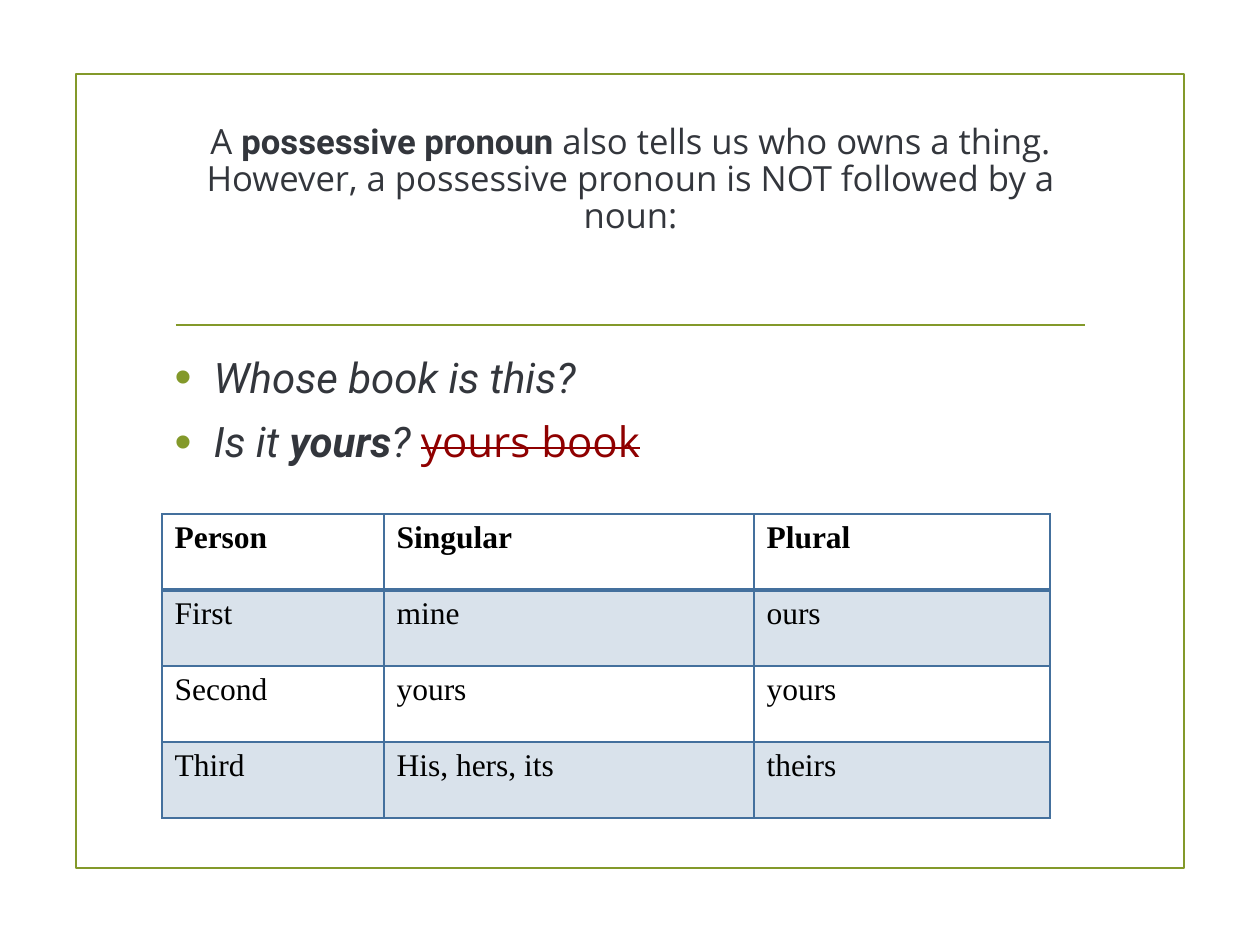
"""Build a slide that explains possessive pronouns."""
from lxml import etree
from pptx import Presentation
from pptx import util as u
from pptx.dml import color
from pptx.enum import shapes, text
from pptx.oxml import ns

PX = 914400 / 126
GREEN, INK, RED, BLUE, BLACK = "83992A", "33363C", "8F0000", "44709D", "000000"
SANS, ROBOTO, SERIF = "Open Sans", "Roboto", "Times New Roman"
ROWS = [
    ["Person", "Singular", "Plural"],
    ["First", "mine", "ours"],
    ["Second", "yours", "yours"],
    ["Third", "His, hers, its", "theirs"],
]


def px(length):
    """Turn pixels into EMU."""
    return u.Emu(round(length * PX))


def rgb(value):
    """Turn a hex string into a colour."""
    return color.RGBColor.from_string(value)


def add_xml(parent, tag, **attributes):
    """Append a DrawingML element and return it."""
    return etree.SubElement(parent, ns.qn(f"a:{tag}"), attributes)


def place(item, box):
    """Move and size an item to a pixel box."""
    item.left, item.top, item.width, item.height = map(px, box)


def add_text(para, words, size, font, ink=INK, bold=False, italic=False, strike=False):
    """Add one formatted run to a paragraph."""
    span = para.add_run()
    span.text = words
    span.font.size, span.font.name = u.Pt(size), font
    span.font.bold, span.font.italic = bold, italic
    span.font.color.rgb = rgb(ink)
    if strike:
        span._r.get_or_add_rPr().set("strike", "sngStrike")


def draw_frame(page, box):
    """Draw the green border and the rule below the title."""
    left, top, width, height = box
    border = page.shapes.add_shape(shapes.MSO_SHAPE.RECTANGLE, *map(px, box))
    border.shadow.inherit = False
    border.fill.background()
    rule = page.shapes.add_connector(
        shapes.MSO_CONNECTOR.STRAIGHT,
        px(left + 100), px(top + 251), px(left + width - 99), px(top + 251))
    add_xml(rule._element.spPr, "effectLst")
    for item in (border, rule):
        item.line.color.rgb = rgb(GREEN)
        item.line.width = u.Pt(1.25)


def fill_title(title, box):
    """Write the definition in the title placeholder."""
    place(title, box)
    frame = title.text_frame
    frame.word_wrap, frame.auto_size = True, text.MSO_AUTO_SIZE.NONE
    frame.vertical_anchor = text.MSO_ANCHOR.MIDDLE
    para = frame.paragraphs[0]
    para.alignment, para.line_spacing = text.PP_ALIGN.CENTER, 0.9
    add_text(para, "A ", 19.8, SANS)
    add_text(para, "possessive pronoun", 19.8, ROBOTO, bold=True)
    add_text(para, " also tells us who owns a thing. However, a possessive pronoun "
             "is NOT followed by a noun:", 19.8, SANS)
    para.add_line_break()
    ending = add_xml(para._p, "endParaRPr", sz="3400")
    add_xml(ending, "latin", typeface=SANS)


def format_bullet(para, before):
    """Give a paragraph a green bullet, a hanging indent and spacing."""
    para.line_spacing = 0.9
    para.space_before, para.space_after = u.Pt(before), u.Pt(6)
    properties = para._p.get_or_add_pPr()
    properties.set("marL", str(px(39)))
    properties.set("indent", str(-px(39)))
    add_xml(add_xml(properties, "buClr"), "srgbClr", val=GREEN)
    add_xml(properties, "buSzPct", val="115000")
    add_xml(properties, "buFont", typeface="Arial")
    add_xml(properties, "buChar", char="•")


def fill_body(body, box):
    """Write the two example sentences in the body placeholder."""
    place(body, box)
    frame = body.text_frame
    frame.word_wrap, frame.auto_size = True, text.MSO_AUTO_SIZE.NONE
    frame.margin_top = px(14)
    question, answer = frame.paragraphs[0], frame.add_paragraph()
    format_bullet(question, 0)
    format_bullet(answer, 4.8)
    add_text(question, "Whose book is this?", 24, ROBOTO, italic=True)
    add_text(answer, "Is it ", 24, ROBOTO, italic=True)
    add_text(answer, "yours", 24, ROBOTO, bold=True, italic=True)
    add_text(answer, "? ", 24, ROBOTO, italic=True)
    add_text(answer, "yours book", 24, SANS, ink=RED, strike=True)


def format_cell(cell, row):
    """Set the borders and the fill of one cell by its row."""
    properties = cell._tc.get_or_add_tcPr()
    widths = {"lnL": 1, "lnR": 1, "lnT": 2 if row == 1 else 1, "lnB": 2 if row == 0 else 1}
    for side, width in widths.items():
        line = add_xml(properties, side, w=str(u.Pt(width)))
        add_xml(add_xml(line, "solidFill"), "srgbClr", val=BLUE)
    if row % 2:
        shade = add_xml(add_xml(properties, "solidFill"), "srgbClr", val=BLUE)
        add_xml(shade, "alpha", val="20000")
    else:
        cell.fill.background()


def add_pronouns(page, box, widths):
    """Add the table of pronouns by person and number."""
    table = page.shapes.add_table(len(ROWS), len(widths), *map(px, box)).table
    table.first_row = table.horz_banding = False
    for column, width in zip(table.columns, widths):
        column.width = px(width)
    for row, entries in enumerate(ROWS):
        for column, words in enumerate(entries):
            cell = table.cell(row, column)
            format_cell(cell, row)
            add_text(cell.text_frame.paragraphs[0], words, 18, SERIF,
                     ink=BLACK, bold=row == 0)


def main():
    """Build and save the deck."""
    deck = Presentation()
    deck.slide_width, deck.slide_height = px(1260), px(945)
    page = deck.slides.add_slide(deck.slide_layouts[1])
    draw_frame(page, (76, 74, 1108, 794))
    fill_title(page.shapes.title, (162, 126, 937, 180))
    fill_body(page.placeholders[1], (162, 343, 937, 475))
    add_pronouns(page, (162, 514, 888, 304), (222, 370, 296))
    deck.save("out.pptx")


if __name__ == "__main__":
    main()
